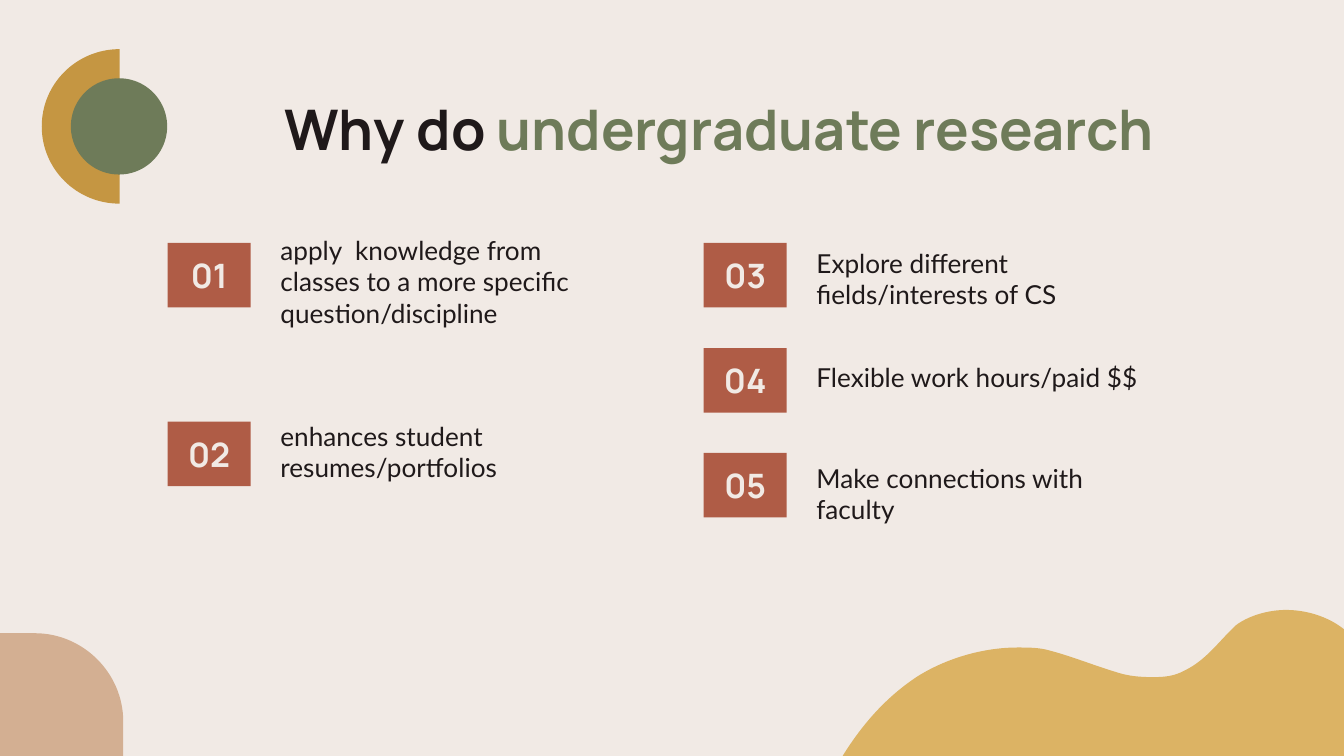
from dataclasses import dataclass

from lxml import etree
from pptx import Presentation
from pptx import util as u
from pptx.dml.color import RGBColor
from pptx.enum import shapes, text
from pptx.oxml import ns


@dataclass(frozen=True)
class Theme:
    background: str = "F1EAE5"
    ink: str = "1F191A"
    green: str = "6E7B59"
    rust: str = "AF5C46"
    ochre: str = "C59642"
    sand: str = "DCB364"
    clay: str = "D3AF92"
    heading_font: str = "Manrope"
    body_font: str = "Lato"
    title_size: int = 30
    number_size: int = 18
    body_size: int = 14


THEME = Theme()
INSET = 0.25

# Outlines in cm: a start point, then lines (one point) or Bézier curves (three points)
CORNER = [
    (2.33, 13.64), [(2.33, 12.72), (1.57, 11.97), (0.66, 11.97)],
    [(-0.03, 11.97)], [(-0.03, 14.33)], [(2.33, 14.33)],
]
WAVE = [
    (24.31, 11.53), [(24.79, 11.53), (25.3, 11.73), (25.58, 12.07)],
    [(25.5, 14.45)],
    [(25.04, 14.45), (24.61, 14.45), (24.16, 14.45)],
    [(21.79, 14.45), (19.46, 14.5), (17.09, 14.5)],
    [(16.66, 14.5), (16.23, 14.5), (15.8, 14.5)],
    [(16.18, 13.84), (16.66, 13.23), (17.35, 12.78)],
    [(17.88, 12.45), (18.57, 12.24), (19.23, 12.24)],
    [(19.43, 12.24), (19.63, 12.24), (19.81, 12.29)],
    [(20.24, 12.4), (20.65, 12.57), (21.08, 12.7)],
    [(21.31, 12.78), (21.54, 12.8), (21.79, 12.8)],
    [(22.02, 12.8), (22.2, 12.78), (22.4, 12.67)],
    [(22.81, 12.47), (23.06, 12.09), (23.37, 11.81)],
    [(23.62, 11.63), (23.98, 11.53), (24.31, 11.53)],
]
HALF_DISC = [
    (2.26, 0.93), [(2.26, 3.85)],
    [(1.45, 3.85), (0.79, 3.2), (0.79, 2.39)],
    [(0.79, 1.58), (1.45, 0.93), (2.26, 0.93)],
]

# Columns: left edge and reasons (number top, text top, wording)
COLUMNS = [
    (3.17, [
        (4.59, 4.18, "apply  knowledge from classes to a more specific question/discipline"),
        (7.97, 7.69, "enhances student resumes/portfolios"),
    ]),
    (13.3, [
        (4.59, 4.42, "Explore different fields/interests of CS"),
        (6.58, 6.58, "Flexible work hours/paid $$"),
        (8.56, 8.49, "Make connections with faculty"),
    ]),
]
NUMBER_WIDTH, NUMBER_HEIGHT = 1.57, 1.22
TEXT_OFFSET, TEXT_WIDTH, TEXT_HEIGHT = 1.88, 6.71, 1.4


def paint(shape, color):
    shape.shadow.inherit = False
    shape.fill.solid()
    shape.fill.fore_color.rgb = RGBColor.from_string(color)
    shape.line.fill.background()


def format_run(run, font, size, color, bold=False):
    run.font.name = font
    run.font.size = u.Pt(size)
    run.font.bold = bold
    run.font.color.rgb = RGBColor.from_string(color)


def prepare_frame(shape, anchor):
    frame = shape.text_frame
    frame.word_wrap = True
    frame.vertical_anchor = anchor
    frame.margin_left = frame.margin_right = u.Cm(INSET)
    frame.margin_top = frame.margin_bottom = u.Cm(INSET)
    return frame


def add_text_box(slide, left, top, width, height):
    box = slide.shapes.add_textbox(u.Cm(left), u.Cm(top), u.Cm(width), u.Cm(height))
    return prepare_frame(box, text.MSO_ANCHOR.TOP)


def add_shape(slide, kind, left, top, width, height, color):
    shape = slide.shapes.add_shape(kind, u.Cm(left), u.Cm(top), u.Cm(width), u.Cm(height))
    paint(shape, color)
    return shape


def add_outline(slide, outline, color):
    start, *segments = outline
    builder = slide.shapes.build_freeform(u.Cm(start[0]), u.Cm(start[1]))
    points = [(u.Cm(x), u.Cm(y)) for segment in segments for x, y in segment]
    builder.add_line_segments(points, close=True)
    shape = builder.convert_to_shape()

    # Join the three points of each curve into one Bézier segment
    lines = iter(list(shape.element.iter(ns.qn("a:lnTo"))))
    for segment in segments:
        parts = [next(lines) for point in segment]
        if len(parts) == 3:
            curve = etree.Element(ns.qn("a:cubicBezTo"))
            parts[0].addprevious(curve)
            for line in parts:
                curve.append(line[0])
                line.getparent().remove(line)
    paint(shape, color)


def add_title(slide):
    paragraph = add_text_box(slide, 3.78, 1.54, 19.84, 1.32).paragraphs[0]
    paragraph.alignment = text.PP_ALIGN.CENTER
    for wording, color in (("Why do ", THEME.ink), ("undergraduate research ", THEME.green)):
        run = paragraph.add_run()
        run.text = wording
        format_run(run, THEME.heading_font, THEME.title_size, color, bold=True)


def add_number(slide, number, left, top):
    shape = add_shape(slide, shapes.MSO_SHAPE.RECTANGLE, left, top,
                      NUMBER_WIDTH, NUMBER_HEIGHT, THEME.rust)
    frame = prepare_frame(shape, text.MSO_ANCHOR.MIDDLE)
    frame.text = f"{number:02}"
    paragraph = frame.paragraphs[0]
    paragraph.alignment = text.PP_ALIGN.CENTER
    format_run(paragraph.runs[0], THEME.heading_font, THEME.number_size,
               THEME.background, bold=True)


def add_reason(slide, wording, left, top):
    frame = add_text_box(slide, left, top, TEXT_WIDTH, TEXT_HEIGHT)
    frame.text = wording
    format_run(frame.paragraphs[0].runs[0], THEME.body_font, THEME.body_size, THEME.ink)


def main():
    presentation = Presentation()
    presentation.slide_width = u.Cm(25.4)
    presentation.slide_height = u.Cm(14.29)
    slide = presentation.slides.add_slide(presentation.slide_layouts[6])
    slide.background.fill.solid()
    slide.background.fill.fore_color.rgb = RGBColor.from_string(THEME.background)

    # Decorations
    add_outline(slide, CORNER, THEME.clay)
    add_outline(slide, WAVE, THEME.sand)
    add_outline(slide, HALF_DISC, THEME.ochre)
    add_shape(slide, shapes.MSO_SHAPE.OVAL, 1.34, 1.48, 1.82, 1.82, THEME.green)

    # Heading
    add_title(slide)

    # Numbered reasons
    number = 0
    for left, reasons in COLUMNS:
        for number, (number_top, text_top, wording) in enumerate(reasons, number + 1):
            add_number(slide, number, left, number_top)
            add_reason(slide, wording, left + TEXT_OFFSET, text_top)

    presentation.save("out.pptx")


if __name__ == "__main__":
    main()
